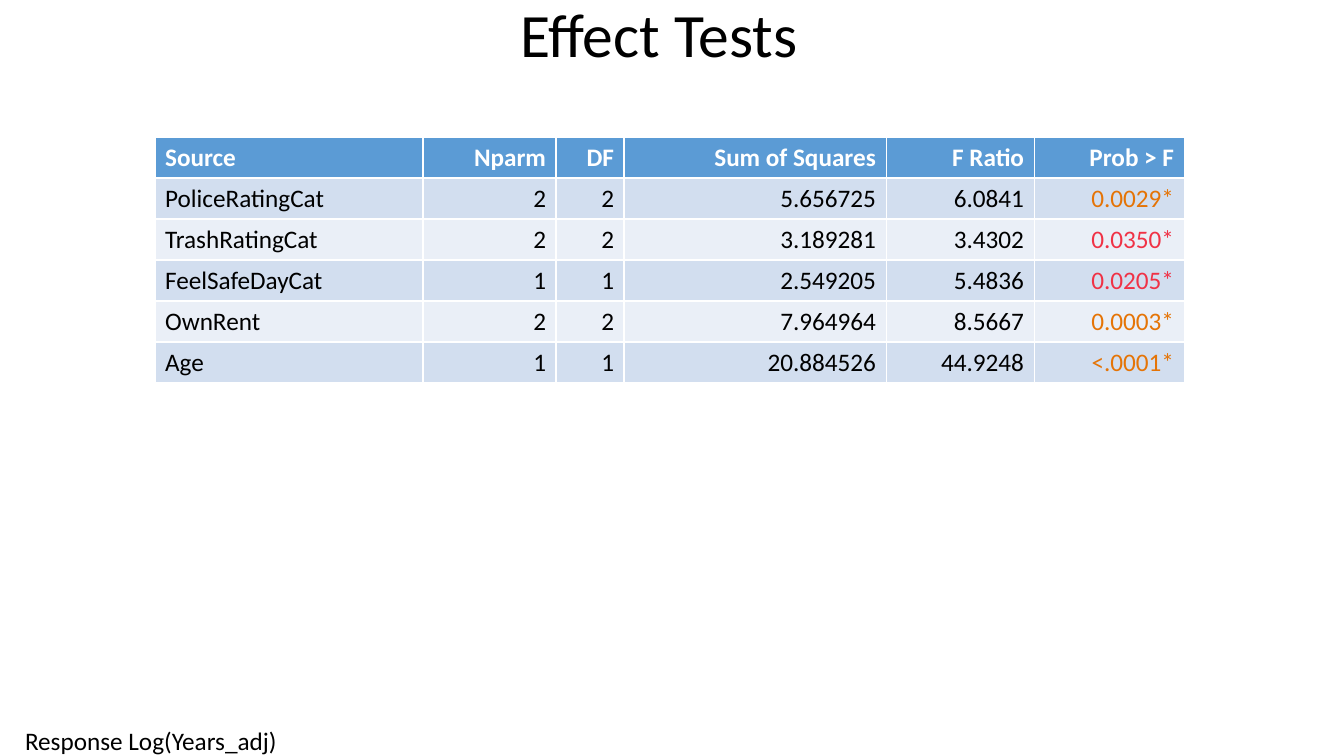
from dataclasses import dataclass

from pptx import Presentation
from pptx import util as u
from pptx.dml.color import RGBColor
from pptx.enum import text as t

PX = 9071


@dataclass(frozen=True)
class Theme:
    """Colours, font and type sizes."""
    font: str = "Calibri"
    big: int = 44
    body: int = 18
    ink: str = "000000"
    white: str = "FFFFFF"
    head: str = "5B9BD5"
    bands: tuple = ("D2DEEF", "EAEFF7")
    strong: str = "E57406"
    weak: str = "F03246"


class Deck:
    """Holds the theme and the current slide."""

    def __init__(self, theme, wide, high):
        """Open a deck with one title-only slide."""
        self.theme = theme
        self.prs = Presentation()
        self.prs.slide_width, self.prs.slide_height = u.Inches(wide), u.Inches(high)
        self.slide = self.prs.slides.add_slide(self.prs.slide_layouts[5])

    def apply(self, item, **values):
        """Set each attribute of an item."""
        for name, value in values.items():
            setattr(item, name, value)

    def place(self, item, box):
        """Move an item to a pixel box."""
        names = ("left", "top", "width", "height")
        self.apply(item, **{n: v * PX for n, v in zip(names, box)})

    def words(self, frame, line, size, color, align="LEFT", bold=False):
        """Put one styled paragraph in a frame."""
        para = frame.paragraphs[0]
        para.alignment = t.PP_ALIGN[align]
        run = para.add_run()
        run.text = line
        self.apply(run.font, name=self.theme.font, size=u.Pt(size), bold=bold)
        run.font.color.rgb = RGBColor.from_string(color)
        return para

    def title(self, line, box):
        """Fill and move the title placeholder."""
        item = self.slide.shapes.title
        self.place(item, box)
        item.text_frame.vertical_anchor = t.MSO_ANCHOR.MIDDLE
        para = self.words(item.text_frame, line, self.theme.big, self.theme.ink, "CENTER")
        para.line_spacing = 0.9

    def label(self, line, box):
        """Add a text box without margins."""
        frame = self.slide.shapes.add_textbox(*(v * PX for v in box)).text_frame
        self.apply(frame, margin_left=0, margin_top=0, margin_right=0, margin_bottom=0,
                   word_wrap=False, auto_size=t.MSO_AUTO_SIZE.SHAPE_TO_FIT_TEXT)
        self.words(frame, line, self.theme.body, self.theme.ink)

    def table(self, rows, left, top, widths, high, tints):
        """Add a banded table with tints for its last column."""
        look = self.theme
        box = (left, top, sum(widths), high * len(rows))
        grid = self.slide.shapes.add_table(
            len(rows), len(widths), *(v * PX for v in box)).table
        for col, wide in zip(grid.columns, widths):
            col.width = wide * PX
        for r, row in enumerate(rows):
            fill = look.bands[(r - 1) % 2] if r else look.head
            for c, line in enumerate(row):
                cell = grid.cell(r, c)
                cell.fill.solid()
                cell.fill.fore_color.rgb = RGBColor.from_string(fill)
                color = look.ink if r else look.white
                if r and c == len(row) - 1:
                    color = tints[r - 1]
                self.words(cell.text_frame, line, look.body, color,
                           "RIGHT" if c else "LEFT", r == 0)


look = Theme()
deck = Deck(look, 13.33, 7.5)
deck.label("Response Log(Years_adj)", (25, 725, 255, 31))
deck.title("Effect Tests", (0, 0, 1318, 76))
tests = [
    ("Source", "Nparm", "DF", "Sum of Squares", "F Ratio", "Prob > F"),
    ("PoliceRatingCat", "2", "2", "5.656725", "6.0841", "0.0029*"),
    ("TrashRatingCat", "2", "2", "3.189281", "3.4302", "0.0350*"),
    ("FeelSafeDayCat", "1", "1", "2.549205", "5.4836", "0.0205*"),
    ("OwnRent", "2", "2", "7.964964", "8.5667", "0.0003*"),
    ("Age", "1", "1", "20.884526", "44.9248", "<.0001*"),
]
tints = [look.strong if float(row[-1].strip("<*")) < 0.01 else look.weak
         for row in tests[1:]]
deck.table(tests, 155, 137, (268, 133, 68, 262, 148, 150), 41, tints)
deck.prs.save("out.pptx")
